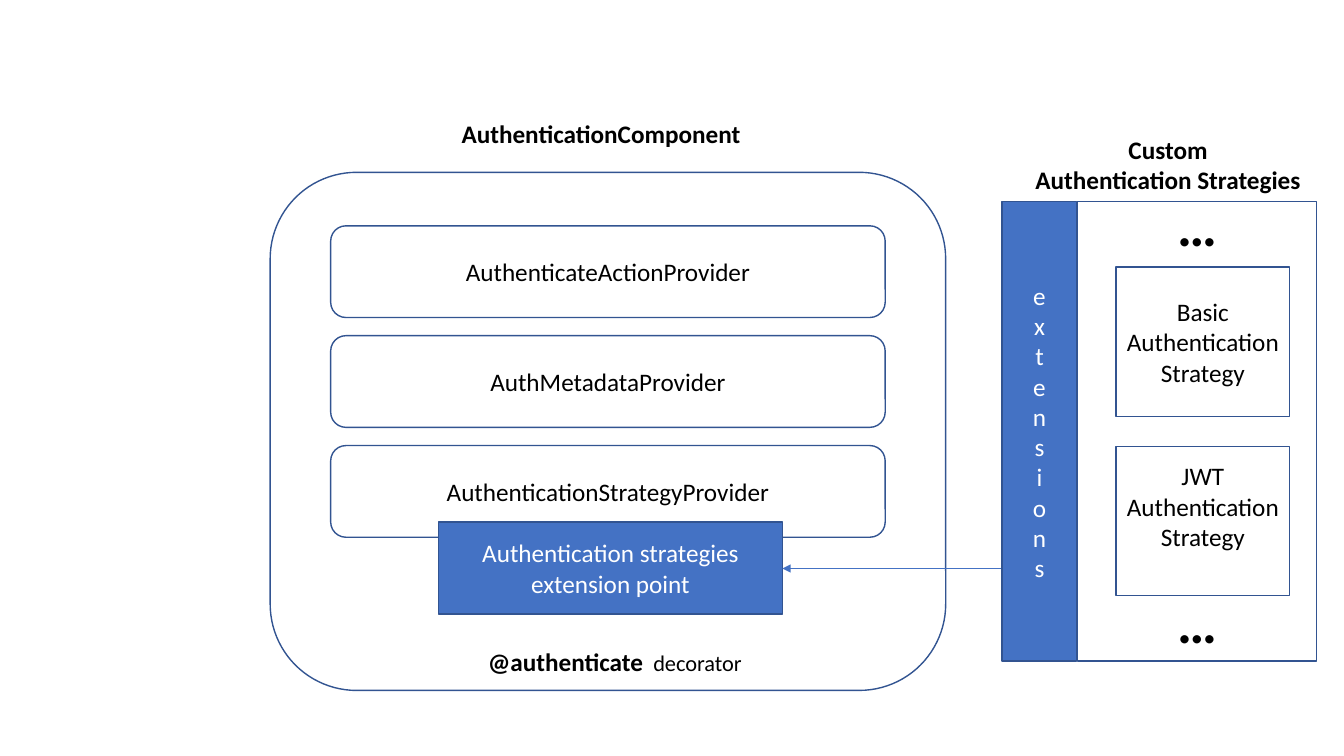
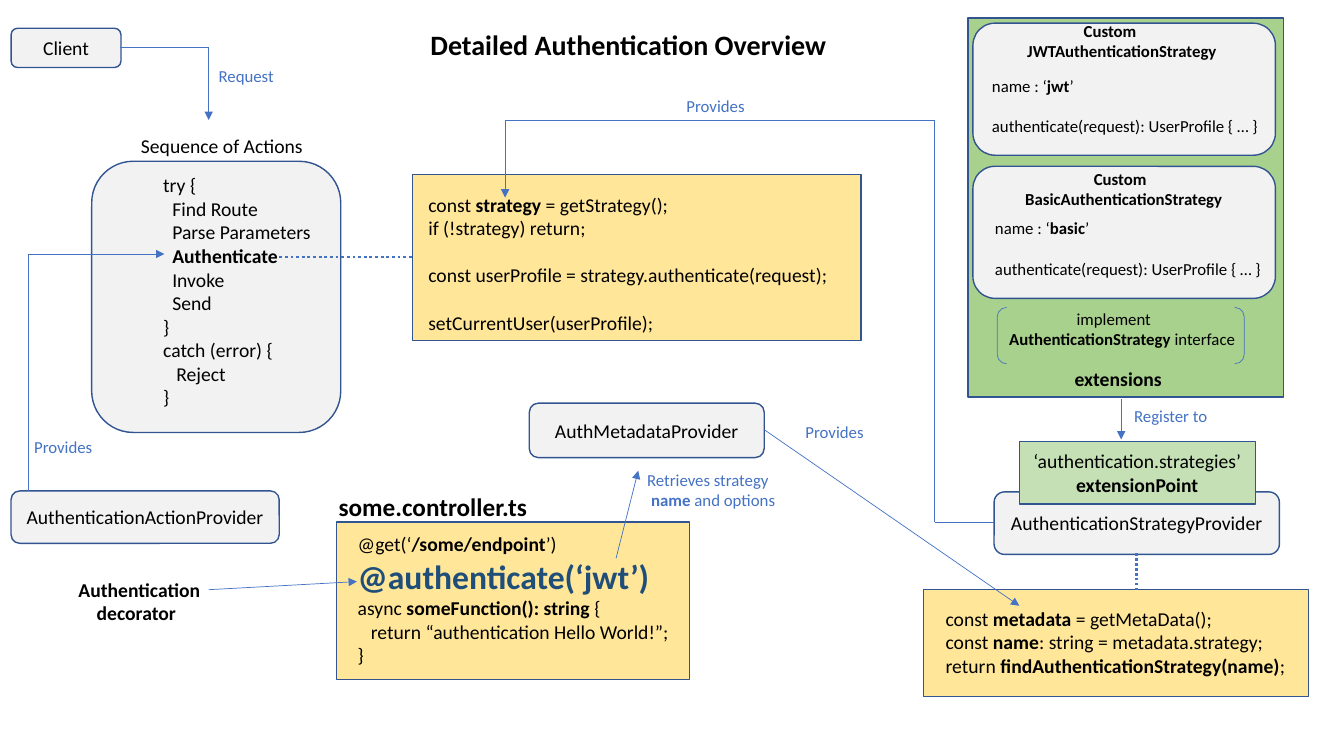
from dataclasses import dataclass
from itertools import pairwise

from lxml.etree import SubElement
from pptx import Presentation
from pptx.dml.color import RGBColor
from pptx.enum.dml import MSO_LINE
from pptx.enum.shapes import MSO_CONNECTOR, MSO_SHAPE
from pptx.enum.text import MSO_ANCHOR, PP_ALIGN
from pptx.oxml.ns import qn
from pptx.util import Inches, Pt


@dataclass(frozen=True)
class Theme:
    font: str = "Calibri"
    ink: str = "000000"
    white: str = "FFFFFF"
    blue: str = "4472C4"
    outline: str = "325491"
    navy: str = "1F4E79"
    gray: str = "F2F2F2"
    yellow: str = "FFE699"
    green: str = "A9D18E"
    light_green: str = "C5E0B4"
    small: int = 12
    body: int = 14
    caption: int = 16
    large: int = 18
    title: int = 20
    code: int = 24
    dots: int = 40
    border: float = 1
    thin: float = 0.5


THEME = Theme()
RECTANGLE = MSO_SHAPE.RECTANGLE
ROUNDED = MSO_SHAPE.ROUNDED_RECTANGLE
LEFT, CENTER = PP_ALIGN.LEFT, PP_ALIGN.CENTER


@dataclass
class Line:
    """One paragraph; asterisks enclose its bold words."""
    text: str
    indent: float = 0
    before: float = 0
    size: float = None
    plain_size: float = None
    color: str = None


class Diagram:
    def __init__(self, presentation):
        self.presentation = presentation
        self.slide = None
        self.size = THEME.body

    def new_slide(self, size):
        self.slide = self.presentation.slides.add_slide(self.presentation.slide_layouts[6])
        self.size = size

    def fill_text(self, frame, lines, size, color, align):
        frame.word_wrap = True
        for number, line in enumerate(lines):
            if isinstance(line, str):
                line = Line(line)
            paragraph = frame.paragraphs[0] if number == 0 else frame.add_paragraph()
            paragraph.alignment = align
            if line.before:
                paragraph.space_before = Pt(line.before)
            if line.indent:
                paragraph._p.get_or_add_pPr().set("marL", str(Inches(line.indent)))
            for part, words in enumerate(line.text.split("*")):
                if not words:
                    continue
                bold = part % 2 == 1
                points = line.size or size
                if line.plain_size and not bold:
                    points = line.plain_size
                run = paragraph.add_run()
                run.text = words
                formats = {"name": THEME.font, "size": Pt(points), "bold": bold}
                for name, value in formats.items():
                    setattr(run.font, name, value)
                run.font.color.rgb = RGBColor.from_string(line.color or color)

    def box(self, kind, place, lines=(), fill=None, color=THEME.ink,
            line=THEME.outline, width=THEME.border):
        shape = self.slide.shapes.add_shape(kind, *map(Inches, place))
        shape.shadow.inherit = False
        if fill:
            shape.fill.solid()
            shape.fill.fore_color.rgb = RGBColor.from_string(fill)
        else:
            shape.fill.background()
        shape.line.color.rgb = RGBColor.from_string(line)
        shape.line.width = Pt(width)
        shape.text_frame.vertical_anchor = MSO_ANCHOR.MIDDLE
        self.fill_text(shape.text_frame, lines, self.size, color, CENTER)
        return shape

    def text(self, place, lines, size=None, color=THEME.ink, align=LEFT):
        text_box = self.slide.shapes.add_textbox(*map(Inches, place))
        self.fill_text(text_box.text_frame, lines, size or self.size, color, align)

    def label(self, left, top, lines, width=1.19, height=0.3):
        self.text((left, top, width, height), lines, THEME.small, THEME.blue)

    def route(self, *points, arrow=True, width=THEME.thin, dash=None):
        """Straight lines through the points, with an arrowhead at the last."""
        for start, end in pairwise(points):
            connector = self.slide.shapes.add_connector(
                MSO_CONNECTOR.STRAIGHT, *map(Inches, start + end))
            connector.line.color.rgb = RGBColor.from_string(THEME.blue)
            connector.line.width = Pt(width)
            if dash:
                connector.line.dash_style = dash
            if arrow and end == points[-1]:
                SubElement(connector.line._get_or_add_ln(), qn("a:tailEnd"), type="triangle")
            SubElement(connector._element.spPr, qn("a:effectLst"))


def component_slide(diagram):
    diagram.new_slide(THEME.large)

    # Component and its providers
    diagram.box(RECTANGLE, (10.69, 2, 2.37, 4.56))
    diagram.box(ROUNDED, (2.68, 1.71, 6.7, 5.14))
    providers = ("AuthenticateActionProvider", "AuthMetadataProvider",
                 "AuthenticationStrategyProvider")
    for row, provider in enumerate(providers):
        diagram.box(ROUNDED, (3.28, 2.24 + row * 1.09, 5.5, 0.91), [provider])
    diagram.text((4.48, 1.12, 5.46, 0.4), ["*AuthenticationComponent*"])
    diagram.box(RECTANGLE, (4.35, 5.18, 3.41, 0.91),
                ["Authentication strategies", "extension point"], THEME.blue, THEME.white)
    diagram.text((4.74, 6.36, 3, 0.4),
                 [Line("*@authenticate*  decorator", plain_size=THEME.caption)])

    # Custom strategies
    diagram.box(RECTANGLE, (9.94, 2, 0.74, 4.56), "extensions", THEME.blue, THEME.white)
    diagram.text((9.84, 1.28, 3.49, 0.71), ["*Custom*", "*Authentication Strategies*"],
                 align=CENTER)
    diagram.box(RECTANGLE, (11.07, 2.65, 1.72, 1.48), ["Basic", "Authentication", "Strategy"])
    jwt = diagram.box(RECTANGLE, (11.07, 4.43, 1.72, 1.48),
                      ["JWT", "Authentication", "Strategy"])
    jwt.text_frame.margin_bottom = Inches(0.35)
    for top in (1.84, 5.78):
        diagram.text((11.58, top, 1.32, 0.77), ["*…*"], THEME.dots)
    diagram.route((9.93, 5.64), (7.76, 5.64))


def overview_slide(diagram):
    diagram.new_slide(THEME.body)
    diagram.text((4.17, 0.22, 4.45, 0.44), ["*Detailed Authentication Overview*"], THEME.title)

    # Client and sequence of actions
    diagram.box(ROUNDED, (0.11, 0.28, 1.09, 0.39), ["Client"], THEME.gray)
    diagram.box(ROUNDED, (0.91, 1.6, 2.47, 2.69), fill=THEME.gray)
    diagram.text((1.3, 1.28, 2.47, 0.34), ["Sequence of Actions"])
    steps = ("Find Route", "Parse Parameters", "*Authenticate*", "Invoke", "Send")
    diagram.text((1.52, 1.67, 1.78, 2.69), [
        "try {", *(Line(step, indent=0.09) for step in steps), "}",
        "catch (error) {", Line("Reject", indent=0.13), "}"])
    diagram.box(ROUNDED, (0.11, 4.87, 2.66, 0.52), ["AuthenticationActionProvider"], THEME.gray)
    diagram.label(0.24, 4.28, ["Provides"])
    diagram.label(2.07, 0.6, ["Request"])
    diagram.route((1.19, 0.47), (2.07, 0.47), (2.07, 1.19))
    diagram.route((0.28, 4.87), (0.28, 2.52), (1.63, 2.52))

    # Authenticate action
    diagram.box(RECTANGLE, (4.09, 1.73, 4.45, 1.65), fill=THEME.yellow)
    diagram.route((2.77, 2.55), (4.09, 2.55), arrow=False, width=2, dash=MSO_LINE.ROUND_DOT)
    diagram.text((4.15, 1.86, 4.6, 2.32), [
        "const *strategy* = getStrategy();",
        "if (!strategy) return;",
        Line("const userProfile = strategy.authenticate(request);", before=17),
        Line("setCurrentUser(userProfile);", before=17)])

    # Custom strategies and their extension point
    diagram.box(RECTANGLE, (9.6, 0.18, 3.13, 3.76), fill=THEME.green)
    strategies = (
        ("JWT", "jwt", 0.56, 0.23, (10.09, 0.16), (9.74, 0.7)),
        ("Basic", "basic", 0.68, 1.65, (10.07, 1.62), (9.77, 2.11)))
    for prefix, name, indent, top, heading, members in strategies:
        diagram.box(ROUNDED, (9.65, top, 3, 1.31), fill=THEME.gray)
        diagram.text((*heading, 2.2, 0.5), [
            Line("*Custom*", indent), f"*{prefix}AuthenticationStrategy*"], THEME.small)
        diagram.text((*members, 2.89, 0.71), [
            f"name : ‘*{name}*’",
            Line("authenticate(request): UserProfile { … }", before=14.6)], THEME.small)
    diagram.text((9.87, 3.01, 3, 0.5), [
        Line("implement", indent=0.71),
        Line("*AuthenticationStrategy* interface", indent=0.04)], THEME.small)
    diagram.box(MSO_SHAPE.DOUBLE_BRACKET, (9.89, 3.05, 2.45, 0.56),
                line=THEME.blue, width=THEME.thin)
    diagram.text((10.56, 3.59, 2.33, 0.34), ["*extensions*"])
    diagram.box(ROUNDED, (9.86, 4.88, 2.83, 0.62), ["AuthenticationStrategyProvider"], THEME.gray)
    diagram.box(RECTANGLE, (10.11, 4.38, 2.34, 0.62),
                ["‘authentication.strategies’ *extensionPoint*"], THEME.light_green)
    diagram.label(11.15, 3.98, ["Register to"])
    diagram.route((11.12, 3.96), (11.12, 4.36))
    diagram.label(6.71, 0.9, ["Provides"])
    diagram.route((9.86, 5.18), (9.27, 5.18), (9.27, 1.19), (5.01, 1.19), (5.01, 1.96))

    # Strategy lookup from metadata
    diagram.box(RECTANGLE, (9.16, 5.85, 3.82, 1.06), fill=THEME.yellow)
    diagram.text((9.28, 5.97, 4.05, 1.51), [
        "const *metadata* = getMetaData();",
        "const *name*: string = metadata.strategy;",
        "return *findAuthenticationStrategy(name)*;"])
    diagram.route((11.27, 5.49), (11.27, 5.85), arrow=False, width=1.75,
                  dash=MSO_LINE.ROUND_DOT)
    diagram.box(ROUNDED, (5.25, 4, 2.33, 0.54), ["AuthMetadataProvider"], THEME.gray)
    diagram.label(7.89, 4.13, ["Provides"])
    diagram.route((7.59, 4.27), (10.11, 6.01))

    # Decorated controller
    diagram.box(RECTANGLE, (3.34, 5.18, 3.5, 1.56), fill=THEME.yellow)
    diagram.text((3.45, 5.23, 3.83, 1.68), [
        "@get(‘*/some/endpoint*’)",
        Line("*@authenticate(‘jwt’)*", size=THEME.code, color=THEME.navy),
        "async *someFunction(): string* {",
        Line("return “authentication Hello World!”;", indent=0.13),
        "}"])
    diagram.text((3.26, 4.83, 2.61, 0.4), ["*some.controller.ts*"], THEME.large)
    diagram.route((6.11, 5.54), (6.33, 4.67))
    diagram.label(6.32, 4.61, ["Retrieves strategy", Line("*name* and options", indent=0.04)],
                  width=1.55, height=0.5)
    diagram.text((0.68, 5.68, 1.51, 0.57),
                 ["*Authentication*", Line("*decorator*", indent=0.18)])
    diagram.route((2.07, 5.85), (3.54, 5.77))


presentation = Presentation()
presentation.slide_width = Inches(13.33)
presentation.slide_height = Inches(7.5)
diagram = Diagram(presentation)
component_slide(diagram)
overview_slide(diagram)
presentation.save("out.pptx")
